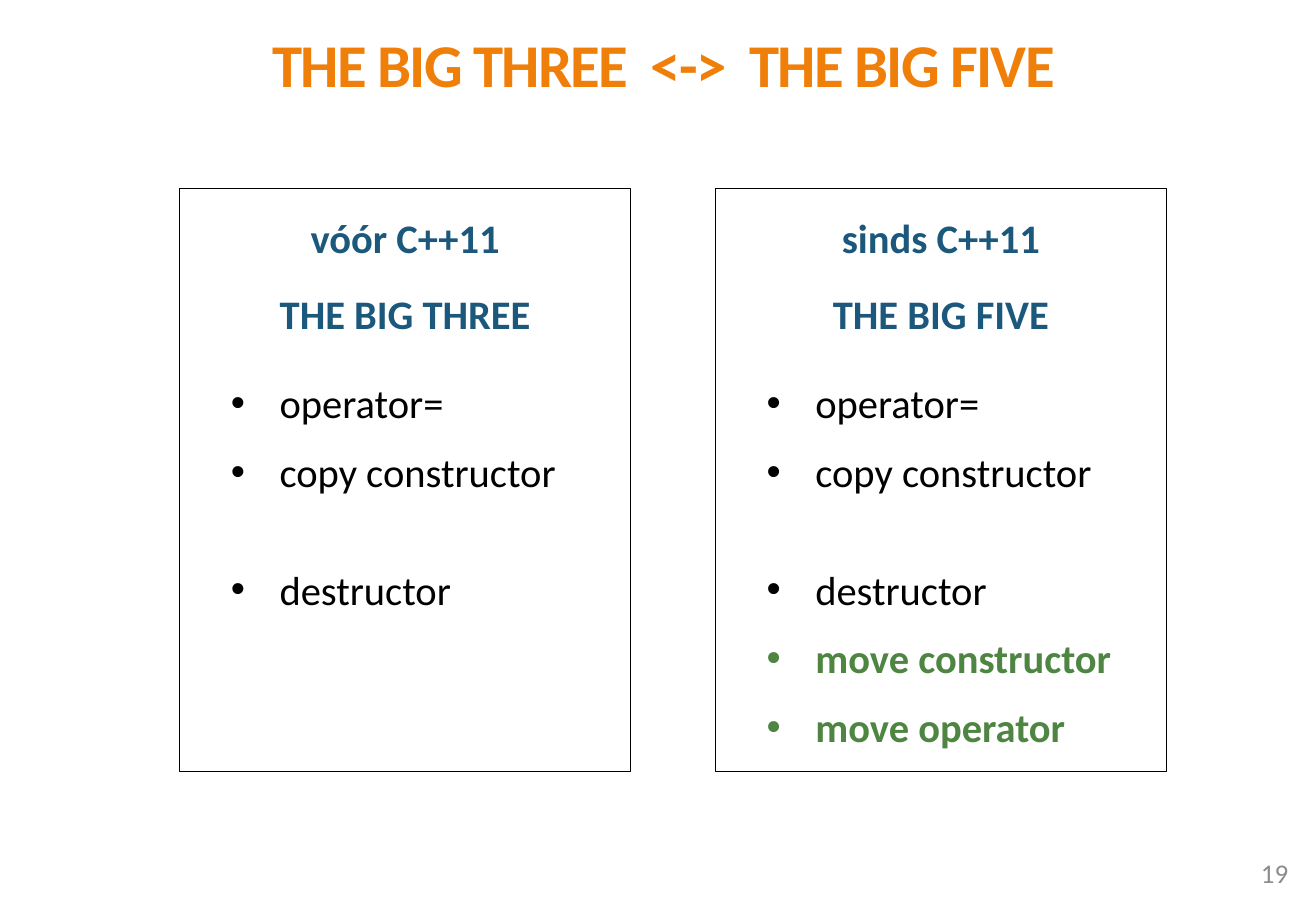
import pptx
import pptx.util
import pptx.dml.color
import pptx.enum.text
import pptx.oxml.ns
import lxml.etree

Cm = pptx.util.Cm
Pt = pptx.util.Pt
RGBColor = pptx.dml.color.RGBColor
ALIGN = pptx.enum.text.PP_ALIGN
ANCHOR = pptx.enum.text.MSO_ANCHOR

ORANGE = RGBColor(0xF0, 0x7F, 0x09)
BLUE = RGBColor(0x1B, 0x58, 0x7C)
GREEN = RGBColor(0x4E, 0x85, 0x42)
BLACK = RGBColor(0, 0, 0)
GREY = RGBColor(0x8C, 0x8C, 0x8C)

COMMON_MEMBERS = [("operator=", 24), ("copy constructor", 12), ("destructor", 41)]
MOVE_MEMBERS = [("move constructor", 12), ("move operator", 12)]


def write(paragraph, text, size=24, color=BLACK, bold=False, align=ALIGN.LEFT,
          before=0, line=None, tracking=0, bullet=False):
    run = paragraph.add_run()
    run.text = text
    run.font.name = "Calibri"
    run.font.size = Pt(size)
    run.font.bold = bold
    run.font.color.rgb = color
    if tracking:
        run.font._element.set("spc", str(tracking * 100))
    paragraph.alignment = align
    paragraph.level = 1 if bullet else 0
    paragraph.space_before = Pt(before)
    if line:
        paragraph.line_spacing = line
    properties = paragraph._p.get_or_add_pPr()
    properties.set("marL", str(Cm(1.83) if bullet else 0))
    properties.set("indent", str(Cm(-1.02) if bullet else 0))
    qn = pptx.oxml.ns.qn
    if bullet:
        lxml.etree.SubElement(properties, qn("a:buFont")).set("typeface", "Arial")
        lxml.etree.SubElement(properties, qn("a:buChar")).set("char", "•")
    else:
        lxml.etree.SubElement(properties, qn("a:buNone"))


def place(region, box, anchor):
    region.left, region.top, region.width, region.height = box
    frame = region.text_frame
    frame.word_wrap = True
    frame.auto_size = pptx.enum.text.MSO_AUTO_SIZE.NONE
    frame.vertical_anchor = anchor
    return frame


def fill_heading(heading, box, text):
    frame = place(heading, box, ANCHOR.MIDDLE)
    write(frame.paragraphs[0], text, size=36, color=ORANGE, bold=True,
          align=ALIGN.CENTER, line=0.96, tracking=-1)


def fill_rule(rule, box, era, name, new_members):
    frame = place(rule, box, ANCHOR.TOP)
    rule.line.color.rgb = BLACK
    rule.line.width = Pt(0.75)
    for paragraph, caption in ((frame.paragraphs[0], era), (frame.add_paragraph(), name)):
        write(paragraph, caption, color=BLUE, bold=True, align=ALIGN.CENTER,
              before=4.8, line=Pt(40))
    for member, before in COMMON_MEMBERS:
        write(frame.add_paragraph(), member, before=before, bullet=True)
    for member, before in new_members:
        write(frame.add_paragraph(), member, color=GREEN, bold=True,
              before=before, bullet=True)


def add_page_number(slide, box, number):
    frame = place(slide.shapes.add_textbox(*box), box, ANCHOR.MIDDLE)
    write(frame.paragraphs[0], number, size=16, color=GREY, align=ALIGN.RIGHT)


deck = pptx.Presentation()
deck.slide_width = Cm(27.51)
deck.slide_height = Cm(19.05)
big_five = deck.slides.add_slide(deck.slide_layouts.get_by_name("Two Content"))

fill_heading(big_five.shapes.title, (Cm(0.97), Cm(0.33), Cm(25.81), Cm(2.11)),
             "THE BIG THREE  <->  THE BIG FIVE")

rules = [("vóór C++11", "THE BIG THREE", []),
         ("sinds C++11", "THE BIG FIVE", MOVE_MEMBERS)]
for column, rule_text in enumerate(rules):
    rule_box = (Cm(3.76 + 11.2 * column), Cm(3.94), Cm(9.42), Cm(12.19))
    fill_rule(big_five.placeholders[column + 1], rule_box, *rule_text)

add_page_number(big_five, (Cm(20.75), Cm(17.73), Cm(6.43), Cm(1.02)), "19")

deck.save("out.pptx")
